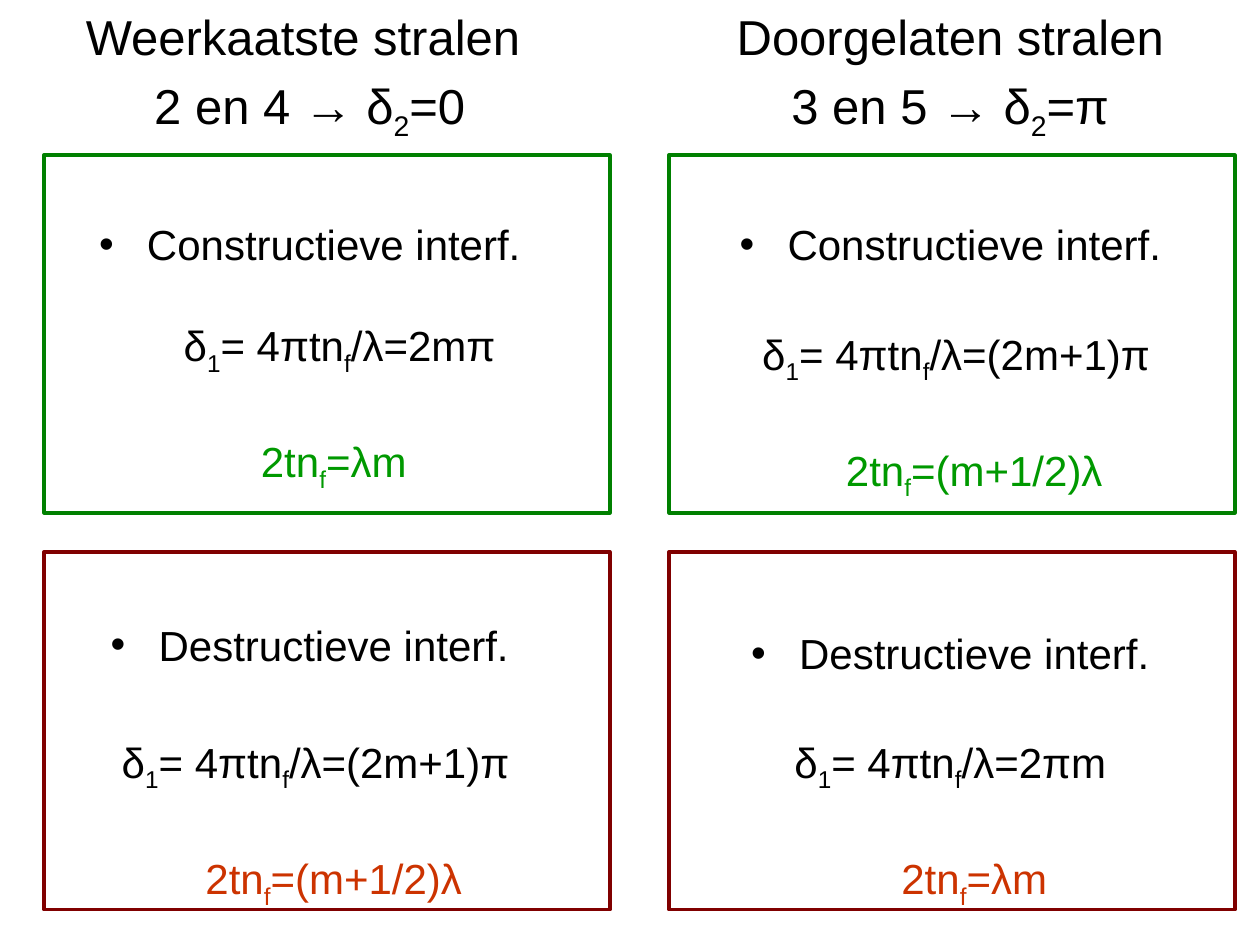
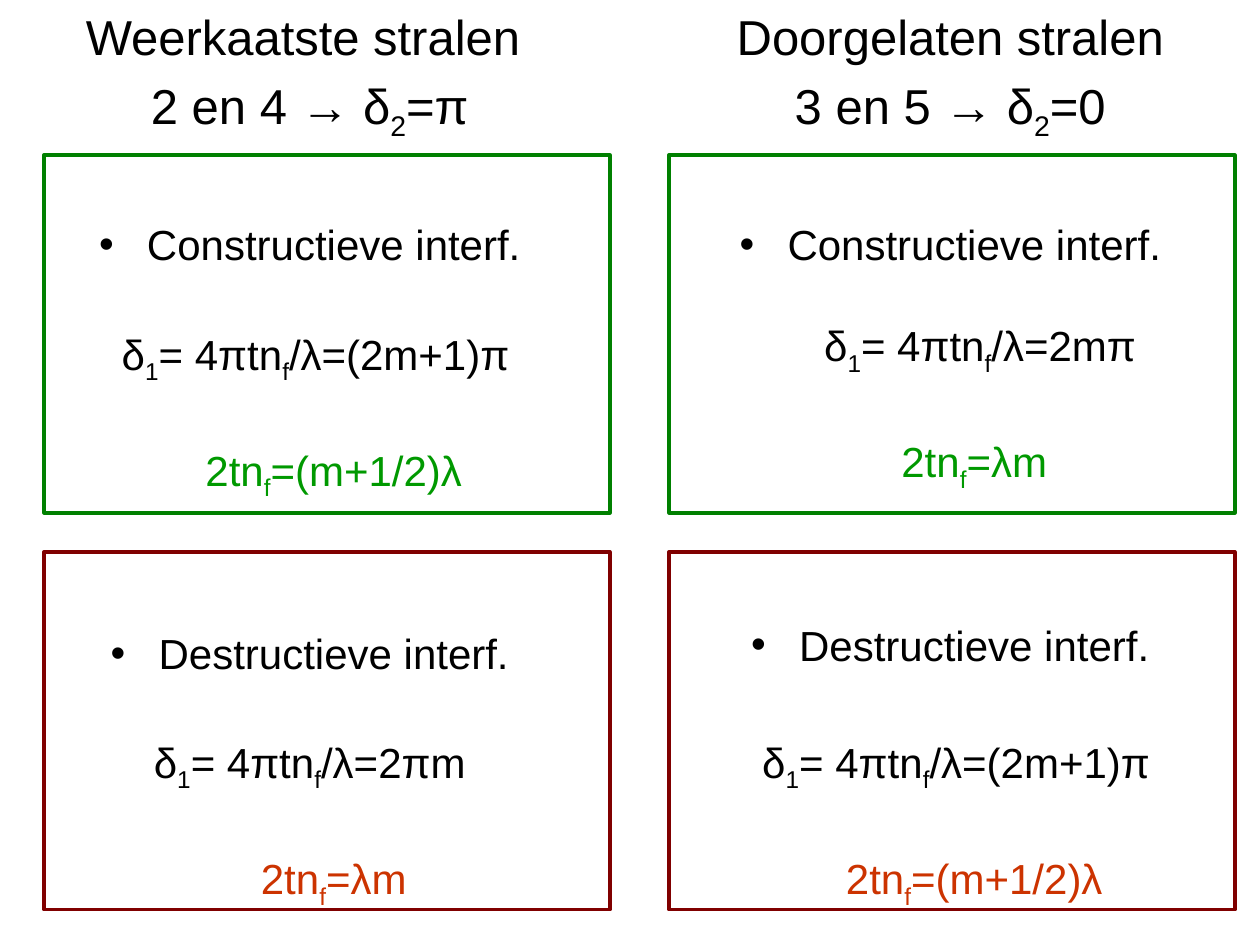
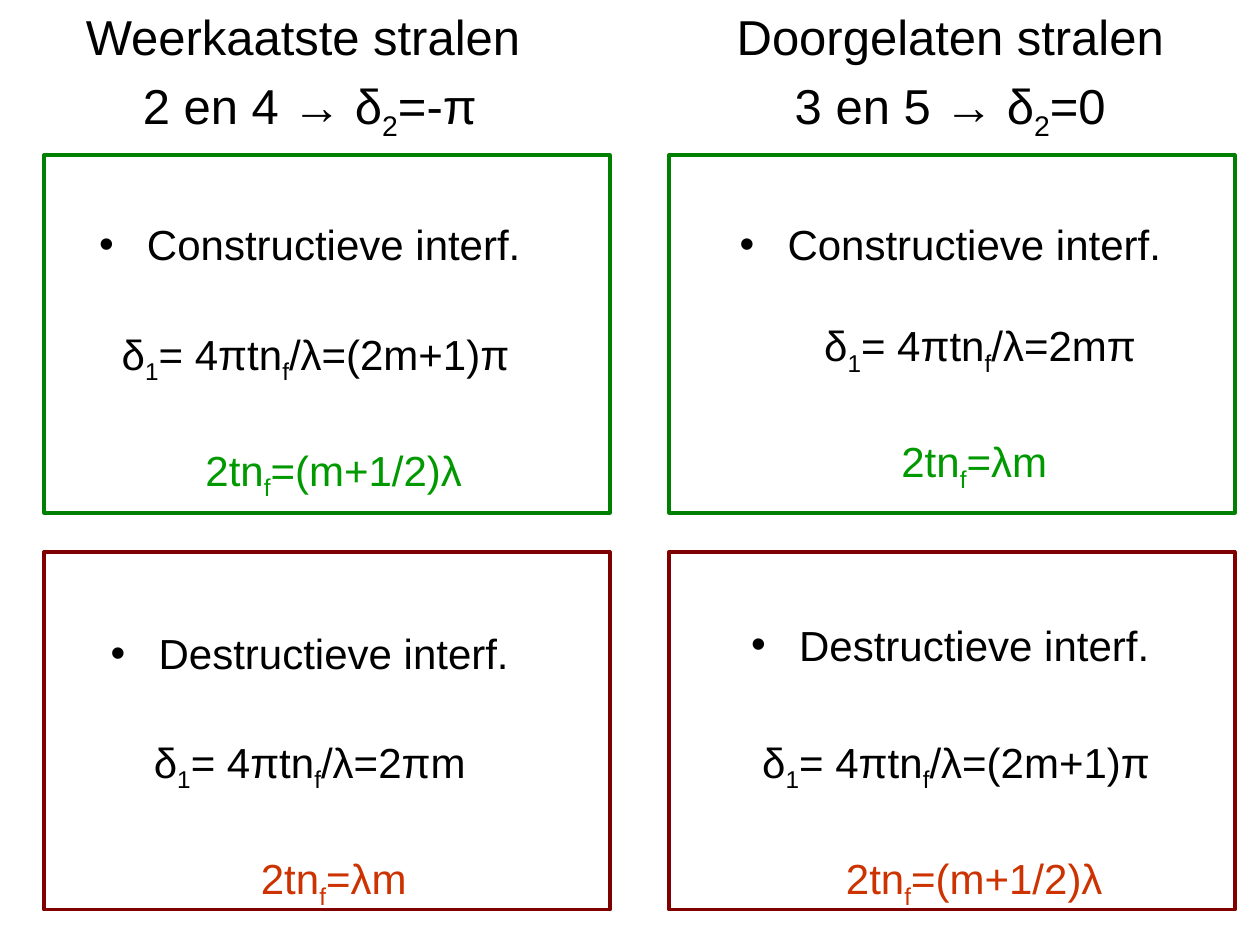
"""Build three slides that compare interference of reflected and transmitted rays."""

from dataclasses import dataclass
from itertools import product

from lxml.etree import SubElement
from pptx import Presentation
from pptx.dml.color import RGBColor
from pptx.enum.shapes import MSO_SHAPE
from pptx.enum.text import MSO_ANCHOR, MSO_AUTO_SIZE, PP_ALIGN
from pptx.oxml.ns import qn
from pptx.util import Pt


@dataclass(frozen=True)
class Theme:
    font: str = "Arial"
    heading_size: int = 28
    body_size: int = 24
    heading_pitch: int = 34
    body_pitch: int = 29
    text: RGBColor = RGBColor(0x00, 0x00, 0x00)
    constructive: RGBColor = RGBColor(0x00, 0x99, 0x00)
    destructive: RGBColor = RGBColor(0xCC, 0x33, 0x00)
    constructive_frame: RGBColor = RGBColor(0x00, 0x80, 0x00)
    destructive_frame: RGBColor = RGBColor(0x80, 0x00, 0x00)


@dataclass(frozen=True)
class Line:
    markup: str
    gap: float
    color: RGBColor
    indent: float = 0
    bullet: bool = False
    heading: bool = False


@dataclass(frozen=True)
class Column:
    heading: str
    phase: str
    whole_waves_add: bool


THEME = Theme()
COLUMN_LEFTS = (0, 366)
COLUMN_WIDTH, PAGE_HEIGHT = 354, 540
FRAME_LEFTS = (25.2, 382.3)
FRAME_TOPS = (88.6, 315.4)
FRAME_WIDTH, FRAME_HEIGHT = 323.3, 204.5
HANG = 27.4
GAP, GAP_STEP, BLOCK_GAP = 37.3, 4.8, 71.8

REFLECTED = "Weerkaatste stralen "
TRANSMITTED = "Doorgelaten stralen"
WHOLE = "2tn_f=λm"
HALF = "2tn_f=(m+1/2)λ"
ODD_PHASE = " δ_1= 4πtn_f/λ=(2m+1)π"

PAGES = (
    (Column(REFLECTED, "2 en 4 → δ_2=0", True), Column(TRANSMITTED, "3 en 5 → δ_2=π", False)),
    (Column(REFLECTED, "2 en 4 → δ_2=π", False), Column(TRANSMITTED, "3 en 5 → δ_2=0", True)),
    (Column(REFLECTED, "2 en 4 → δ_2=-π", False), Column(TRANSMITTED, "3 en 5 → δ_2=0", True)),
)


def column_lines(column: Column) -> list[Line]:
    """List the lines of a column, from its heading to its last condition."""
    if column.whole_waves_add:
        adding = Line(" δ_1= 4πtn_f/λ=2mπ", GAP - GAP_STEP, THEME.text, HANG)
        cancelling = Line(ODD_PHASE, GAP + GAP_STEP, THEME.text)
        results = WHOLE, HALF
    else:
        adding = Line(ODD_PHASE, GAP, THEME.text)
        cancelling = Line("δ_1= 4πtn_f/λ=2πm", GAP, THEME.text)
        results = HALF, WHOLE
    return [
        Line(column.heading, 0, THEME.text, heading=True),
        Line(column.phase, 9.6, THEME.text, heading=True),
        Line("Constructieve interf.", 43.7, THEME.text, HANG, bullet=True),
        adding,
        Line(results[0], GAP, THEME.constructive, HANG),
        Line("Destructieve interf.", BLOCK_GAP, THEME.text, HANG, bullet=True),
        cancelling,
        Line(results[1], GAP, THEME.destructive, HANG),
    ]


def add_markup(para, markup: str) -> None:
    """Write text in which an underscore lowers the next character."""
    first, *rest = markup.split("_")
    para.add_run().text = first
    for piece in rest:
        span = para.add_run()
        span.text = piece[0]
        span._r.get_or_add_rPr().set("baseline", "-25000")
        para.add_run().text = piece[1:]


def write_line(para, line: Line) -> None:
    """Format one paragraph and fill it with its line."""
    properties = para._p.get_or_add_pPr()
    properties.set("marL", str(Pt(line.indent)))
    properties.set("indent", str(Pt(-HANG if line.bullet else 0)))
    if line.bullet:
        SubElement(properties, qn("a:buChar")).set("char", "•")
    else:
        SubElement(properties, qn("a:buNone"))
    para.alignment = PP_ALIGN.CENTER
    para.line_spacing = Pt(THEME.heading_pitch if line.heading else THEME.body_pitch)
    para.space_before = Pt(line.gap)
    para.space_after = Pt(0)
    para.font.name = THEME.font
    para.font.size = Pt(THEME.heading_size if line.heading else THEME.body_size)
    para.font.color.rgb = line.color
    add_markup(para, line.markup)


def fill_column(box, left: float, column: Column) -> None:
    """Place a column's placeholder and write its lines."""
    box.left, box.top = Pt(left), Pt(0)
    box.width, box.height = Pt(COLUMN_WIDTH), Pt(PAGE_HEIGHT)
    frame = box.text_frame
    frame.word_wrap = True
    frame.auto_size = MSO_AUTO_SIZE.NONE
    frame.vertical_anchor = MSO_ANCHOR.TOP
    for index, line in enumerate(column_lines(column)):
        write_line(frame.add_paragraph() if index else frame.paragraphs[0], line)


def add_frame(page, left: float, top: float, color: RGBColor) -> None:
    """Draw an open rectangle round one kind of interference."""
    box = page.shapes.add_shape(
        MSO_SHAPE.RECTANGLE, Pt(left), Pt(top), Pt(FRAME_WIDTH), Pt(FRAME_HEIGHT)
    )
    box.shadow.inherit = False
    box.fill.background()
    box.line.color.rgb = color
    box.line.width = Pt(2)


def add_page(deck, columns: tuple[Column, Column]) -> None:
    """Add a slide with two columns and four frames."""
    page = deck.slides.add_slide(deck.slide_layouts.get_by_name("Two Content"))
    title, *boxes = page.placeholders
    title._element.getparent().remove(title._element)
    for box, left, column in zip(boxes, COLUMN_LEFTS, columns):
        fill_column(box, left, column)
    rows = zip(FRAME_TOPS, (THEME.constructive_frame, THEME.destructive_frame))
    for (top, color), left in product(rows, FRAME_LEFTS):
        add_frame(page, left, top, color)


def main() -> None:
    """Build and save the deck."""
    deck = Presentation()
    deck.slide_width, deck.slide_height = Pt(720), Pt(PAGE_HEIGHT)
    for columns in PAGES:
        add_page(deck, columns)
    deck.save("out.pptx")


if __name__ == "__main__":
    main()
